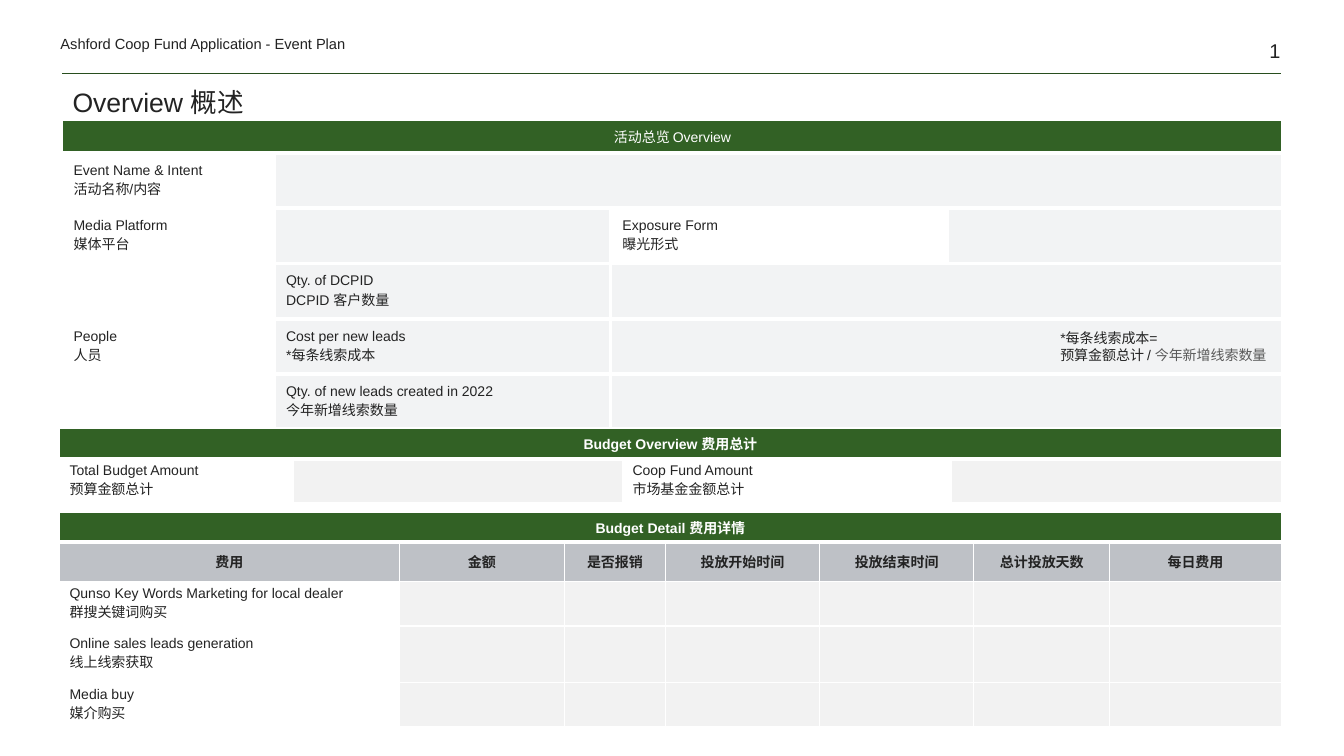
from dataclasses import dataclass, replace
from typing import Optional

from lxml import etree
from pptx import Presentation
from pptx import util as u
from pptx.dml.color import RGBColor
from pptx.enum import shapes, text
from pptx.oxml import ns

GREEN = RGBColor(0x32, 0x61, 0x25)
RULE_GREEN = RGBColor(0x28, 0x4E, 0x1E)
INK = RGBColor(0x23, 0x23, 0x23)
MUTED = RGBColor(0x5A, 0x5A, 0x5A)
WHITE = RGBColor(0xFF, 0xFF, 0xFF)
COOL_GREY = RGBColor(0xF2, 0xF3, 0xF4)
PALE_GREY = RGBColor(0xF2, 0xF2, 0xF2)
HEADING_GREY = RGBColor(0xBE, 0xC1, 0xC6)
FONT = "Arial"
LEFT, CENTER, RIGHT = text.PP_ALIGN.LEFT, text.PP_ALIGN.CENTER, text.PP_ALIGN.RIGHT
BOTTOM = text.MSO_ANCHOR.BOTTOM


@dataclass(frozen=True)
class Box:
    """Left, top, width and height in percent of the slide."""
    left: float
    top: float
    width: float
    height: float

    def emu(self) -> tuple[int, int, int, int]:
        return (across(self.left), down(self.top), across(self.width), down(self.height))


@dataclass(frozen=True)
class Cell:
    words: str = ""
    fill: Optional[RGBColor] = None
    color: RGBColor = INK
    align: text.PP_ALIGN = LEFT
    bold: bool = False
    span: tuple[int, int] = (1, 1)


@dataclass(frozen=True)
class Section:
    box: Box
    columns: list[float]
    rows: list[float]
    cells: list[list[Optional[Cell]]]
    inset: tuple[float, float] = (0.1, 0.03)
    border: float = 1


deck = Presentation()
deck.slide_width, deck.slide_height = u.Inches(13.33), u.Inches(7.5)


def across(percent: float) -> int:
    return round(deck.slide_width * percent / 100)


def down(percent: float) -> int:
    return round(deck.slide_height * percent / 100)


def style(paragraph, size: float, color: RGBColor = INK, align=LEFT, bold=False) -> None:
    paragraph.alignment = align
    for run in paragraph.runs:
        run.font.name, run.font.size, run.font.bold = FONT, u.Pt(size), bold
        run.font.color.rgb = color


def set_borders(cell, width: float, bottom: float) -> None:
    properties = cell._tc.get_or_add_tcPr()
    sides = {"lnL": width, "lnR": width, "lnT": width, "lnB": bottom}
    for place, (side, points) in enumerate(sides.items()):
        edge = etree.Element(ns.qn(f"a:{side}"), w=str(u.Pt(points)))
        solid = etree.SubElement(edge, ns.qn("a:solidFill"))
        etree.SubElement(solid, ns.qn("a:srgbClr"), val=str(WHITE))
        properties.insert(place, edge)


def fill_cell(target, cell: Cell) -> None:
    target.text_frame.text = cell.words
    for paragraph in target.text_frame.paragraphs:
        style(paragraph, 10, cell.color, cell.align, cell.bold)
        paragraph._p.get_or_add_endParaRPr().set("sz", "1000")
    if cell.fill is None:
        target.fill.background()
    else:
        target.fill.solid()
        target.fill.fore_color.rgb = cell.fill


def draw_section(slide, section: Section) -> None:
    frame = slide.shapes.add_table(
        len(section.rows), len(section.columns), *section.box.emu())
    table = frame.table
    table.first_row = table.horz_banding = False
    width, height = across(section.box.width), down(section.box.height)
    for column, share in zip(table.columns, section.columns):
        column.width = round(width * share / sum(section.columns))
    for row, share in zip(table.rows, section.rows):
        row.height = round(height * share / sum(section.rows))
    for r, line in enumerate(section.cells):
        for c, cell in enumerate(line):
            target = table.cell(r, c)
            target.vertical_anchor = text.MSO_ANCHOR.MIDDLE
            target.margin_left = target.margin_right = u.Inches(section.inset[0])
            target.margin_top = target.margin_bottom = u.Inches(section.inset[1])
            fill_cell(target, cell or Cell())
            set_borders(target, section.border, 3 if r == 0 else section.border)
            if cell and cell.span != (1, 1):
                target.merge(table.cell(r + cell.span[0] - 1, c + cell.span[1] - 1))


def draw_text(slide, box: Box, words: str, size: float, align=LEFT):
    frame = slide.shapes.add_textbox(*box.emu()).text_frame
    frame.word_wrap = True
    frame.text = words
    for paragraph in frame.paragraphs:
        style(paragraph, size, align=align)
    return frame


def draw_margin_text(slide, box: Box, words: str, size: float, align=LEFT) -> None:
    frame = draw_text(slide, box, words, size, align)
    frame.vertical_anchor = BOTTOM
    frame.margin_left = frame.margin_right = frame.margin_top = frame.margin_bottom = 0


def banner(words: str, columns: int, bold: bool = True) -> list[Optional[Cell]]:
    return [Cell(words, GREEN, WHITE, CENTER, bold, (1, columns))] + [None] * (columns - 1)


def measure(words: str) -> list[Optional[Cell]]:
    return [None, Cell(words, COOL_GREY), Cell(fill=COOL_GREY, span=(1, 2)), None]


def expense(words: str) -> list[Cell]:
    return [Cell(words)] + [amount] * 6


entry = Cell(fill=COOL_GREY)
amount = Cell(fill=PALE_GREY)
people = Cell("People\n人员", span=(3, 1))
detail_headings = ["费用", "金额", "是否报销", "投放开始时间", "投放结束时间", "总计投放天数", "每日费用"]

event_overview = Section(
    Box(4.58, 15.73, 90.9, 41.07), [2.11] + [3.34] * 3, [0.34] + [0.55] * 5,
    [
        banner("活动总览 Overview", 4, bold=False),
        [Cell("Event Name & Intent\n活动名称/内容"), replace(entry, span=(1, 3)), None, None],
        [Cell("Media Platform\n媒体平台"), entry, Cell("Exposure Form\n曝光形式"), entry],
        [people] + measure("Qty. of DCPID\nDCPID 客户数量")[1:],
        measure("Cost per new leads\n*每条线索成本"),
        measure("Qty. of new leads created in 2022\n今年新增线索数量"),
    ],
    inset=(0.12, 0.06), border=3)

budget_overview = Section(
    Box(4.43, 56.67, 90.9, 9.87), [2.32] + [3.27] * 3, [0.3, 0.44],
    [
        banner("Budget Overview 费用总计", 4),
        [Cell("Total Budget Amount\n预算金额总计"), amount,
         Cell("Coop Fund Amount\n市场基金金额总计"), amount],
    ])

budget_detail = Section(
    Box(4.43, 67.73, 90.9, 28.4),
    [3.37, 1.64, 1, 1.53, 1.53, 1.35, 1.7], [0.3, 0.39, 0.44, 0.56, 0.44],
    [
        banner("Budget Detail 费用详情", 7),
        [Cell(words, HEADING_GREY, INK, CENTER, True) for words in detail_headings],
        expense("Qunso Key Words Marketing for local dealer\n群搜关键词购买"),
        expense("Online sales leads generation\n线上线索获取"),
        expense("Media buy\n媒介购买"),
    ])

plan = deck.slides.add_slide(deck.slide_layouts[5])

header_rule = plan.shapes.add_connector(
    shapes.MSO_CONNECTOR.STRAIGHT, across(4.65), down(9.73), across(95.33), down(9.73))
header_rule.line.color.rgb = RULE_GREEN
header_rule.line.width = u.Pt(0.5)
etree.SubElement(header_rule._element.spPr, ns.qn("a:effectLst"))

heading = plan.shapes.title
heading.left, heading.top, heading.width, heading.height = Box(4.65, 10.93, 90.68, 5.33).emu()
heading.text_frame.text = "Overview 概述"
heading.text_frame.auto_size = text.MSO_AUTO_SIZE.NONE
heading.text_frame.vertical_anchor = BOTTOM
heading.text_frame.paragraphs[0].line_spacing = 0.85
style(heading.text_frame.paragraphs[0], 19)

for section in (event_overview, budget_overview, budget_detail):
    draw_section(plan, section)

draw_margin_text(plan, Box(89.03, 0, 6.23, 8.27), "1", 14.2, RIGHT)
draw_margin_text(plan, Box(4.5, 3.87, 31.28, 3.07),
                 "Ashford Coop Fund Application - Event Plan", 10.5)

formula = draw_text(plan, Box(78.15, 42.93, 18.15, 5.87), "*每条线索成本=\n预算金额总计 / ", 10)
formula.paragraphs[1].add_run().text = "今年新增线索数量"
style(formula.paragraphs[1], 10)
formula.paragraphs[1].runs[1].font.color.rgb = MUTED

deck.save("out.pptx")
